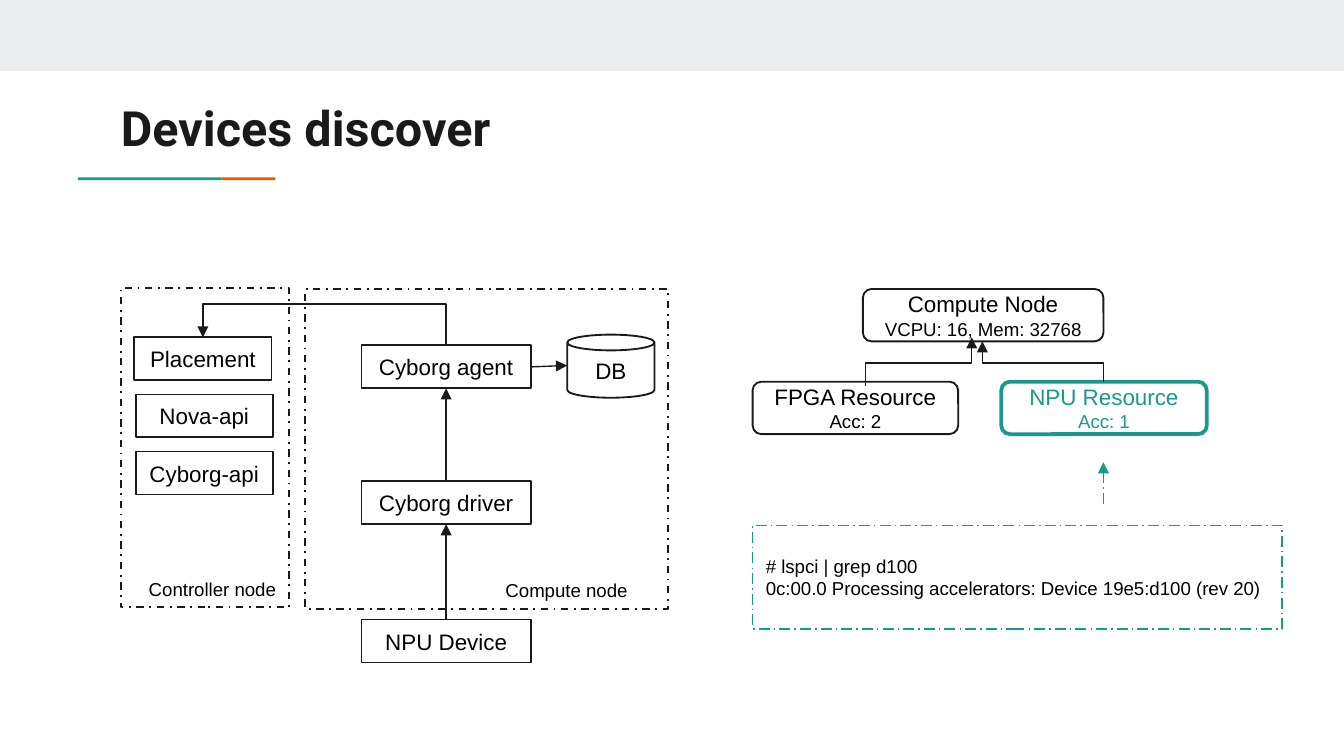
import pptx
import pptx.dml.color
import pptx.enum.dml
import pptx.enum.shapes
import pptx.enum.text
import pptx.oxml
import pptx.oxml.ns
import pptx.util

Inches = pptx.util.Inches
Shape = pptx.enum.shapes.MSO_SHAPE
Link = pptx.enum.shapes.MSO_CONNECTOR
Dash = pptx.enum.dml.MSO_LINE
Align = pptx.enum.text.PP_ALIGN
Anchor = pptx.enum.text.MSO_ANCHOR
qn = pptx.oxml.ns.qn

COLORS = {
    "band": "E9EDEE", "teal": "1A9988", "orange": "EB5600",
    "ink": "1A1A1A", "text": "000000", "white": "FFFFFF",
}


def rgb(name):
    return pptx.dml.color.RGBColor.from_string(COLORS[name])


def add_element(parent, tag, **attributes):
    element = pptx.oxml.parse_xml(f"<a:{tag} {pptx.oxml.ns.nsdecls('a')}/>")
    for key, value in attributes.items():
        element.set(key, str(value))
    parent.append(element)


def write(shape, lines, color="text", align=Align.CENTER, anchor=Anchor.MIDDLE):
    frame = shape.text_frame
    frame.word_wrap = True
    frame.vertical_anchor = anchor
    side = Inches(0.05 if align == Align.CENTER else 0.1)
    frame.margin_left = frame.margin_right = side
    frame.margin_top = frame.margin_bottom = Inches(0.05)
    for index, (words, size) in enumerate(lines):
        para = frame.add_paragraph() if index else frame.paragraphs[0]
        para.alignment = align
        span = para.add_run()
        span.text = words
        span.font.name = "Arial"
        span.font.size = pptx.util.Pt(size)
        span.font.color.rgb = rgb(color)


def add_box(page, box, kind=Shape.RECTANGLE, fill=None, line="ink", width=1, dash=None):
    shape = page.shapes.add_shape(kind, *map(Inches, box))
    shape.shadow.inherit = False
    if fill:
        shape.fill.solid()
        shape.fill.fore_color.rgb = rgb(fill)
    else:
        shape.fill.background()
    if line:
        shape.line.color.rgb = rgb(line)
        shape.line.width = pptx.util.Pt(width)
        if dash:
            shape.line.dash_style = dash
    else:
        shape.line.fill.background()
    return shape


def add_label(page, box, words):
    label = page.shapes.add_textbox(*map(Inches, box))
    write(label, [(words, 10)], anchor=Anchor.TOP)


def add_arrow(page, start, end, kind=Link.STRAIGHT, color="ink", dash=None):
    arrow = page.shapes.add_connector(kind, *map(Inches, start + end))
    arrow.line.color.rgb = rgb(color)
    arrow.line.width = pptx.util.Pt(0.75)
    if dash:
        arrow.line.dash_style = dash
    properties = arrow._element.spPr
    add_element(properties.find(qn("a:ln")), "tailEnd", type="triangle")
    add_element(properties, "effectLst")
    return arrow


def add_rising_elbow(page, start, end, bend):
    arrow = add_arrow(page, start, end, Link.ELBOW)
    run, rise = abs(end[0] - start[0]), start[1] - end[1]
    arrow.left = Inches((start[0] + end[0] - rise) / 2)
    arrow.top = Inches((start[1] + end[1] - run) / 2)
    arrow.width, arrow.height = Inches(rise), Inches(run)
    properties = arrow._element.spPr
    frame = properties.find(qn("a:xfrm"))
    for flip in ("flipH", "flipV"):
        frame.attrib.pop(flip, None)
    leftward = end[0] < start[0]
    frame.set("rot", str((90 if leftward else 270) * 60000))
    if leftward:
        frame.set("flipH", "1")
    guides = properties.find(qn("a:prstGeom")).find(qn("a:avLst"))
    share = round((start[1] - bend) / rise * 100000)
    add_element(guides, "gd", name="adj1", fmla=f"val {share}")


def heading(page, box):
    left, top, width, height = box
    add_box(page, (left, top, width, 0.53), fill="band", line=None)
    title = page.shapes.title
    title.left, title.top = Inches(left + 0.8), Inches(top + 0.63)
    title.width, title.height = Inches(8.41), Inches(0.59)
    frame = title.text_frame
    frame.word_wrap = True
    frame.vertical_anchor = Anchor.TOP
    frame.margin_left = frame.margin_right = Inches(0.1)
    frame.margin_top = frame.margin_bottom = Inches(0.1)
    para = frame.paragraphs[0]
    para.alignment = Align.LEFT
    span = para.add_run()
    span.text = "Devices discover"
    span.font.name = "Roboto"
    span.font.size = pptx.util.Pt(26)
    span.font.bold = True
    span.font.color.rgb = rgb("ink")
    for offset, length, color in ((0.58, 1.07, "teal"), (1.65, 0.4, "orange")):
        add_box(page, (left + offset, top + 1.32, length, 0.02), fill=color, line=None)


def controller_node(page, box):
    left, top, width, height = box
    add_box(page, box, dash=Dash.DASH_DOT)
    pitch = 0.85 / 2
    services = ((0.1, "Placement"), (0.11, "Nova-api"), (0.11, "Cyborg-api"))
    for row, (across, words) in enumerate(services):
        service = add_box(page, (left + across, top + 0.37 + row * pitch, 1.02, 0.32))
        write(service, [(words, 12)])
    add_label(page, (left + 0.1, top + 2.11, 1.16, 0.27), "Controller node")


def compute_node(page, box):
    left, top, width, height = box
    add_box(page, box, dash=Dash.DASH_DOT)
    step_left, step_width, step_height = left + 0.42, 1.26, 0.32
    center = step_left + step_width / 2
    tops = [top + offset for offset in (0.42, 1.43, 2.46)]
    for step_top, words in zip(tops, ("Cyborg agent", "Cyborg driver", "NPU Device")):
        step = add_box(page, (step_left, step_top, step_width, step_height))
        write(step, [(words, 12)])
    for upper, lower in zip(tops, tops[1:]):
        add_arrow(page, (center, lower), (center, upper + step_height))
    database = add_box(page, (left + 1.95, top + 0.34, 0.65, 0.47), Shape.CAN)
    write(database, [("DB", 12)])
    add_arrow(page, (step_left + step_width, top + 0.58), (left + 1.95, top + 0.57))
    add_rising_elbow(page, (center, tops[0]), (left - 0.76, top + 0.36), top + 0.11)
    add_label(page, (left + 1.38, top + 2.11, 1.13, 0.27), "Compute node")


def resource_tree(page, box):
    left, top, width, height = box
    nodes = (
        (0.82, 0, 1.79, "Compute Node", "VCPU: 16, Mem: 32768", None, "ink", "text", 1),
        (0, 0.69, 1.53, "FPGA Resource", "Acc: 2", None, "ink", "text", 1),
        (1.85, 0.69, 1.53, "NPU Resource", "Acc: 1", "white", "teal", "teal", 2),
    )
    for across, down, span, name, detail, fill, line, color, weight in nodes:
        place = (left + across, top + down, span, 0.39)
        node = add_box(page, place, Shape.ROUNDED_RECTANGLE, fill, line, weight)
        write(node, [(name, 12), (detail, 10)], color)
    bend = top + 0.55
    add_rising_elbow(page, (left + 0.84, top + 0.72), (left + 1.63, top + 0.36), bend)
    add_rising_elbow(page, (left + 2.61, top + 0.69), (left + 1.71, top + 0.39), bend)
    add_arrow(page, (left + 2.61, top + 1.6), (left + 2.61, top + 1.29),
              color="teal", dash=Dash.LONG_DASH_DOT)
    console = add_box(page, (left, top + 1.76, width, 0.77), line="teal",
                      width=0.75, dash=Dash.LONG_DASH_DOT)
    write(console, [
        ("# lspci | grep d100", 10),
        ("0c:00.0 Processing accelerators: Device 19e5:d100 (rev 20)", 10),
    ], align=Align.LEFT)


def main():
    deck = pptx.Presentation()
    deck.slide_width, deck.slide_height = Inches(10), Inches(10 * 9 / 16)
    page = deck.slides.add_slide(deck.slide_layouts.get_by_name("Title Only"))
    heading(page, (0, 0, 10, 1.34))
    controller_node(page, (0.9, 2.14, 1.25, 2.38))
    compute_node(page, (2.27, 2.15, 2.7, 2.38))
    resource_tree(page, (5.6, 2.15, 3.94, 2.53))
    deck.save("out.pptx")


if __name__ == "__main__":
    main()
